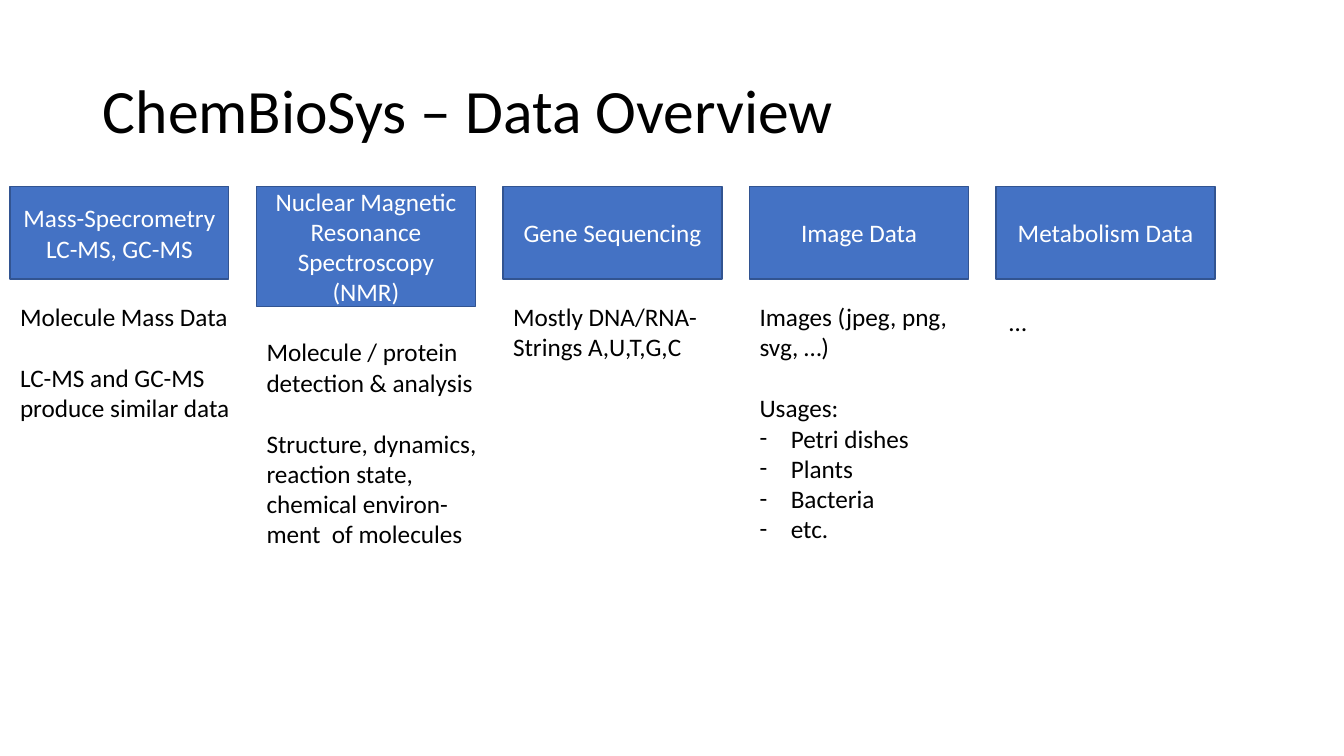
import dataclasses

import pptx
import pptx.dml.color
import pptx.enum.shapes
import pptx.enum.text
import pptx.oxml.ns
import pptx.util
from lxml import etree

Inches = pptx.util.Inches
Pt = pptx.util.Pt
RGB = pptx.dml.color.RGBColor
Align = pptx.enum.text.PP_ALIGN
Anchor = pptx.enum.text.MSO_ANCHOR
AutoSize = pptx.enum.text.MSO_AUTO_SIZE


@dataclasses.dataclass(frozen=True)
class Theme:
    font: str = "Calibri"
    title_size: int = 44
    body_size: int = 18
    block_gap: int = 22
    text: RGB = RGB(0x00, 0x00, 0x00)
    header_text: RGB = RGB(0xFF, 0xFF, 0xFF)
    header_fill: RGB = RGB(0x44, 0x72, 0xC4)
    header_line: RGB = RGB(0x32, 0x54, 0x91)


THEME = Theme()

# Column grid
LEFT, PITCH, WIDTH = 0.1, 2.445, 2.17
HEADER_TOP, HEADER_HEIGHT = 1.85, 0.92


@dataclasses.dataclass(frozen=True)
class Column:
    header: list
    blocks: list  # groups of lines; "- " starts a bulleted line
    header_height: float = HEADER_HEIGHT
    body_top: float = 2.94
    body_width: float = WIDTH
    body_height: float = 0.71
    body_shift: float = 0


COLUMNS = [
    Column(["Mass-Specrometry", "LC-MS, GC-MS"],
           [["Molecule Mass Data"],
            ["LC-MS and GC-MS produce similar data"]],
           body_width=2.31, body_height=1.31),
    Column(["Nuclear Magnetic Resonance Spectroscopy (NMR)"],
           [["Molecule / protein detection & analysis"],
            ["Structure, dynamics, reaction state, "
             "chemical environ-ment  of molecules"]],
           header_height=1.19, body_top=3.29, body_width=2.31, body_height=2.22),
    Column(["Gene Sequencing"], [["Mostly DNA/RNA- Strings A,U,T,G,C"]]),
    Column(["Image Data"],
           [["Images (jpeg, png, svg, …)"],
            ["Usages:", "- Petri dishes", "- Plants", "- Bacteria", "- etc."]],
           body_height=2.52),
    Column(["Metabolism Data"], [["…"]],
           body_top=2.99, body_height=0.4, body_shift=0.03),
]


def add_run(p, text, size, color):
    r = p.add_run()
    r.text = text
    r.font.name = THEME.font
    r.font.size = Pt(size)
    r.font.color.rgb = color


def next_paragraph(tf, index):
    return tf.paragraphs[0] if index == 0 else tf.add_paragraph()


def set_bullet(p, char="-"):
    pPr = p._p.get_or_add_pPr()
    pPr.set("marL", str(Inches(0.31)))
    pPr.set("indent", str(-Inches(0.31)))
    font = etree.SubElement(pPr, pptx.oxml.ns.qn("a:buFont"))
    font.set("typeface", THEME.font)
    etree.SubElement(pPr, pptx.oxml.ns.qn("a:buChar")).set("char", char)


def set_title(s, text):
    sp = s.shapes.title
    sp.left, sp.top = Inches(0.92), Inches(0.4)
    sp.width, sp.height = Inches(11.5), Inches(1.45)
    tf = sp.text_frame
    tf.auto_size = AutoSize.NONE
    tf.vertical_anchor = Anchor.MIDDLE
    p = tf.paragraphs[0]
    p.alignment = Align.LEFT
    p.line_spacing = 0.9
    add_run(p, text, THEME.title_size, THEME.text)


def add_header(s, column, x):
    sp = s.shapes.add_shape(
        pptx.enum.shapes.MSO_SHAPE.RECTANGLE, Inches(x), Inches(HEADER_TOP),
        Inches(WIDTH), Inches(column.header_height))
    sp.shadow.inherit = False
    sp.fill.solid()
    sp.fill.fore_color.rgb = THEME.header_fill
    sp.line.color.rgb = THEME.header_line
    sp.line.width = Pt(1)
    tf = sp.text_frame
    tf.word_wrap = True
    tf.vertical_anchor = Anchor.MIDDLE
    for i, line in enumerate(column.header):
        p = next_paragraph(tf, i)
        p.alignment = Align.CENTER
        add_run(p, line, THEME.body_size, THEME.header_text)


def add_body(s, column, x):
    sp = s.shapes.add_textbox(
        Inches(x + column.body_shift), Inches(column.body_top),
        Inches(column.body_width), Inches(column.body_height))
    tf = sp.text_frame
    tf.word_wrap = True
    tf.auto_size = AutoSize.SHAPE_TO_FIT_TEXT
    count = 0
    for block in column.blocks:
        for i, line in enumerate(block):
            p = next_paragraph(tf, count)
            if i == 0 and count:
                p.space_before = Pt(THEME.block_gap)
            if line.startswith("- "):
                set_bullet(p)
            add_run(p, line.removeprefix("- "), THEME.body_size, THEME.text)
            count += 1


def main():
    prs = pptx.Presentation()
    prs.slide_width, prs.slide_height = Inches(13.33), Inches(7.5)
    s = prs.slides.add_slide(prs.slide_layouts.get_by_name("Title Only"))

    set_title(s, "ChemBioSys – Data Overview")

    # One header and one description per data type
    for i, column in enumerate(COLUMNS):
        x = LEFT + i * PITCH
        add_header(s, column, x)
        add_body(s, column, x)

    prs.save("out.pptx")


if __name__ == "__main__":
    main()
